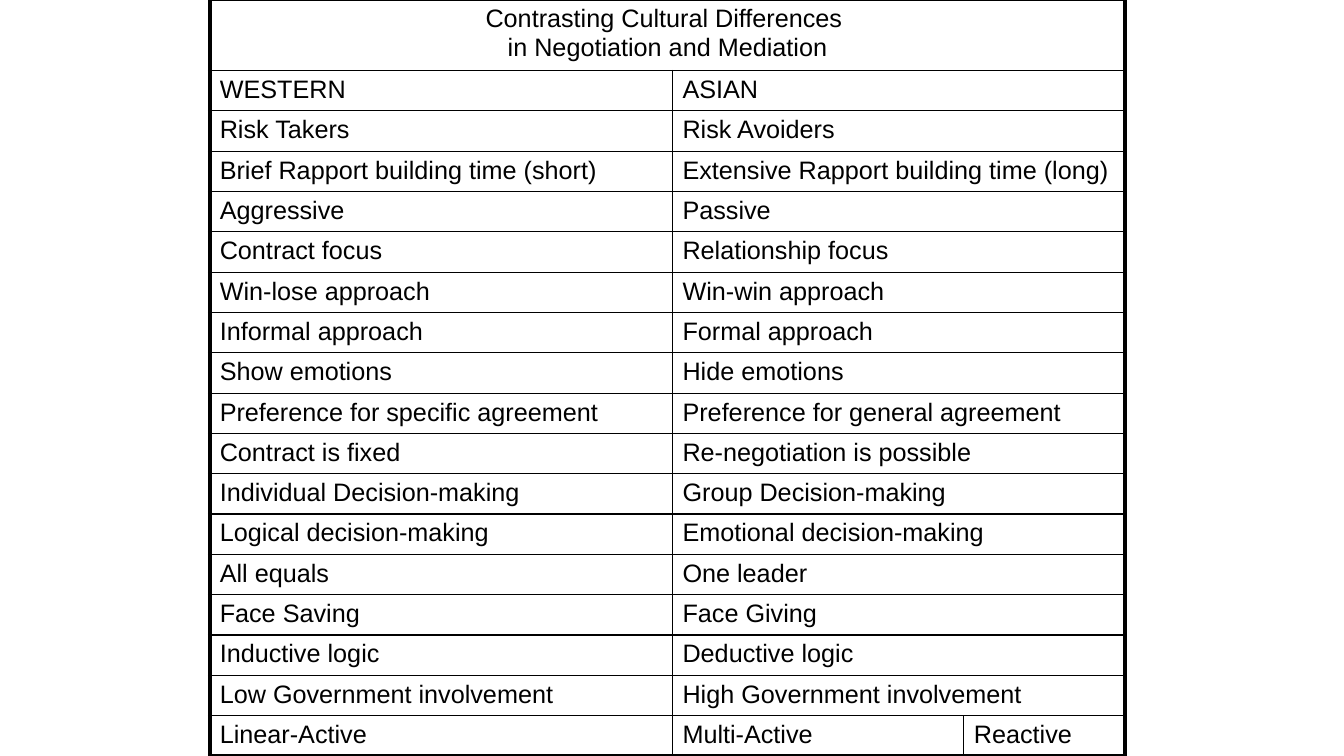
from lxml.etree import SubElement
from pptx import Presentation
from pptx.dml.color import RGBColor
from pptx.enum.text import MSO_ANCHOR as Anchor, PP_ALIGN as Align
from pptx.oxml.ns import qn
from pptx.util import Inches, Pt

BLACK = RGBColor(0, 0, 0)
PLAIN_STYLE = "{2D5ABB26-0587-4C30-8999-92F81FD0307C}"
TITLE = ["Contrasting Cultural Differences ", "in Negotiation and Mediation"]
CONTRASTS = [
    ("WESTERN", "ASIAN"),
    ("Risk Takers", "Risk Avoiders"),
    ("Brief Rapport building time (short)", "Extensive Rapport building time (long)"),
    ("Aggressive", "Passive"),
    ("Contract focus", "Relationship focus"),
    ("Win-lose approach", "Win-win approach"),
    ("Informal approach", "Formal approach"),
    ("Show emotions", "Hide emotions"),
    ("Preference for specific agreement", "Preference for general agreement"),
    ("Contract is fixed", "Re-negotiation is possible"),
    ("Individual Decision-making", "Group Decision-making"),
    ("Logical decision-making", "Emotional decision-making"),
    ("All equals", "One leader"),
    ("Face Saving", "Face Giving"),
    ("Inductive logic", "Deductive logic"),
    ("Low Government involvement", "High Government involvement"),
    ("Linear-Active", "Multi-Active", "Reactive"),
]


class ContrastPage:
    """Holds the text and border style and the current slide."""

    font_name, font_size, ink = "Arial", Pt(18), BLACK
    thin, thick = Pt(1), Pt(3)
    tab_stops = (0, 0.28, 0.5)

    def __init__(self, deck):
        self.page = deck.slides.add_slide(deck.slide_layouts[6])

    def table(self, left, top, widths, heights):
        frame = self.page.shapes.add_table(
            len(heights), len(widths), Inches(left), Inches(top),
            Inches(sum(widths)), Inches(sum(heights)))
        table = frame.table
        table.first_row = table.horz_banding = False
        table._tbl.tblPr.find(qn("a:tableStyleId")).text = PLAIN_STYLE
        for column, width in zip(table.columns, widths):
            column.width = Inches(width)
        for row, height in zip(table.rows, heights):
            row.height = Inches(height)
        return table

    def cell(self, table, row, column, lines, span=1, align=Align.LEFT):
        cell = table.cell(row, column)
        end = column + span - 1
        if span > 1:
            cell.merge(table.cell(row, end))
        cell.vertical_anchor = Anchor.TOP
        cell.text = "\n".join(lines)
        for para in cell.text_frame.paragraphs:
            self.paragraph(para, align)
        self.border(cell, "L", column == 0)
        self.border(cell, "R", end == len(table.columns) - 1)
        self.border(cell, "T", False)
        self.border(cell, "B", row == len(table.rows) - 1)
        cell.fill.background()

    def paragraph(self, para, align):
        para.alignment = align
        tabs = SubElement(para._p.get_or_add_pPr(), qn("a:tabLst"))
        for stop in self.tab_stops:
            SubElement(tabs, qn("a:tab"), pos=str(Inches(stop)), algn="l")
        font = para.font
        font.name, font.size = self.font_name, self.font_size
        font.color.rgb = self.ink

    def border(self, cell, side, outer):
        width = self.thick if outer else self.thin
        line = SubElement(cell._tc.get_or_add_tcPr(), qn(f"a:ln{side}"), w=str(width))
        fill = SubElement(line, qn("a:solidFill"))
        SubElement(fill, qn("a:srgbClr"), val=str(self.ink))


def main():
    deck = Presentation()
    deck.slide_width, deck.slide_height = Inches(13.33), Inches(7.5)
    page = ContrastPage(deck)
    widths = [4.59, 2.89, 1.6]
    table = page.table(2.08, 0, widths, [0.7] + [0.4] * len(CONTRASTS))
    page.cell(table, 0, 0, TITLE, span=len(widths), align=Align.CENTER)
    for row, texts in enumerate(CONTRASTS, start=1):
        for column, text in enumerate(texts):
            last = column == len(texts) - 1
            span = len(widths) - column if last else 1
            page.cell(table, row, column, [text], span)
    deck.save("out.pptx")


if __name__ == "__main__":
    main()
